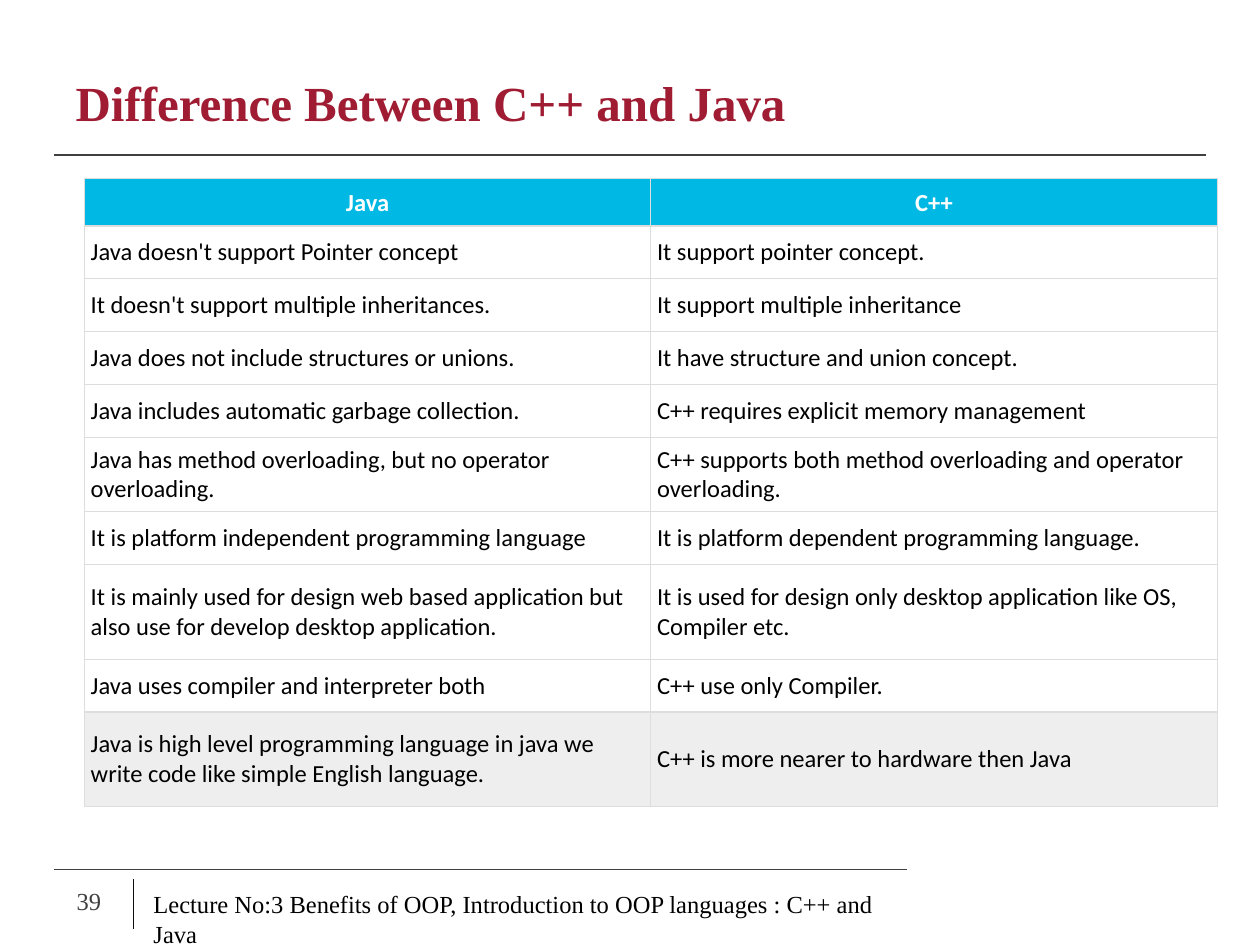
from lxml import etree
from pptx import Presentation
from pptx import util as u
from pptx.dml.color import RGBColor
from pptx.enum import shapes, text
from pptx.oxml.ns import qn

SERIF, SANS = "Times New Roman", "Calibri"
MID = text.MSO_ANCHOR.MIDDLE
LEFT, MIDDLE = text.PP_ALIGN.LEFT, text.PP_ALIGN.CENTER

HEADS = ("Java", "C++")
ROWS = [
    (0.42, "Java doesn't support Pointer concept", "It support pointer concept."),
    (0.42, "It doesn't support multiple inheritances.", "It support multiple inheritance"),
    (0.42, "Java does not include structures or unions.", "It have structure and union concept."),
    (0.42, "Java includes automatic garbage collection.", "C++ requires explicit memory management"),
    (0.59, "Java has method overloading, but no operator overloading.",
     "C++ supports both method overloading and operator overloading."),
    (0.42, "It is platform independent programming language",
     "It is platform dependent programming language."),
    (0.75, "It is mainly used for design web based application but also use for "
           "develop desktop application.",
     "It is used for design only desktop application like OS, Compiler etc."),
    (0.42, "Java uses compiler and interpreter both", "C++ use only Compiler."),
    (0.75, "Java is high level programming language in java we write code like "
           "simple English language.",
     "C++ is more nearer to hardware then Java"),
]


def color(code):
    return RGBColor.from_string(code)


def write(frame, words, size=14, font=SERIF, ink="000000", bold=False, align=LEFT,
          anchor=text.MSO_ANCHOR.TOP):
    frame.word_wrap = True
    frame.vertical_anchor = anchor
    par = frame.paragraphs[0]
    par.alignment = align
    run = par.add_run()
    run.text = words
    run.font.size, run.font.name, run.font.bold = u.Pt(size), font, bold
    run.font.color.rgb = color(ink)


def place(shape, left, top, width, height):
    shape.left, shape.top = u.Inches(left), u.Inches(top)
    shape.width, shape.height = u.Inches(width), u.Inches(height)


def border(cell, code="DDDDDD", width=0.75):
    props = cell._tc.get_or_add_tcPr()
    for spot, side in enumerate(("lnL", "lnR", "lnT", "lnB")):
        line = etree.Element(qn("a:" + side), w=str(u.Pt(width)))
        fill = etree.SubElement(line, qn("a:solidFill"))
        etree.SubElement(fill, qn("a:srgbClr"), val=code)
        props.insert(spot, line)


class Page:
    """Holds the slide being built and its shared style."""
    rule, head, plain, last = "404040", "00B8E4", "FFFFFF", "EEEEEE"

    def __init__(self, deck):
        self.slide = deck.slides.add_slide(deck.slide_layouts[5])

    def title(self, words, *box):
        shape = self.slide.shapes.title
        place(shape, *box)
        write(shape.text_frame, words, size=28, ink="9F1C33", bold=True, anchor=MID)

    def label(self, words, *box, **style):
        shape = self.slide.shapes.add_textbox(*map(u.Inches, box))
        write(shape.text_frame, words, **style)

    def line(self, x1, y1, x2, y2, ink=rule):
        ends = map(u.Inches, (x1, y1, x2, y2))
        line = self.slide.shapes.add_connector(shapes.MSO_CONNECTOR.STRAIGHT, *ends)
        line.line.color.rgb = color(ink)
        line.line.width = u.Pt(0.75)
        etree.SubElement(line._element.spPr, qn("a:effectLst"))

    def cell(self, cell, words, fill, pad=0.05, **style):
        cell.margin_left = cell.margin_right = u.Inches(0.05)
        cell.margin_top = cell.margin_bottom = u.Inches(pad)
        cell.vertical_anchor = MID
        cell.fill.solid()
        cell.fill.fore_color.rgb = color(fill)
        border(cell)
        write(cell.text_frame, words, font=SANS, anchor=None, **style)

    def table(self, left, top, width, high=0.37):
        tall = high + sum(row[0] for row in ROWS)
        box = map(u.Inches, (left, top, width, tall))
        table = self.slide.shapes.add_table(len(ROWS) + 1, len(HEADS), *box).table
        table.rows[0].height = u.Inches(high)
        for col, words in enumerate(HEADS):
            self.cell(table.cell(0, col), words, self.head, pad=0.07,
                      ink="FFFFFF", bold=True, align=MIDDLE)
        for num, (high, *pair) in enumerate(ROWS, 1):
            table.rows[num].height = u.Inches(high)
            fill = self.last if num == len(ROWS) else self.plain
            for col, words in enumerate(pair):
                self.cell(table.cell(num, col), words, fill)


def main():
    deck = Presentation()
    deck.slide_width, deck.slide_height = u.Inches(10), u.Inches(7.5)
    page = Page(deck)
    page.line(0.43, 1.23, 9.57, 1.23)
    page.line(0.43, 6.9, 7.2, 6.9)
    page.line(1.06, 6.98, 1.06, 7.37, ink="0D0D0D")
    page.title("Difference Between C++ and Java", 0.5, 0.36, 9, 0.9)
    page.label("39", 0.51, 6.95, 0.52, 0.4, ink=page.rule, anchor=MID)
    page.table(0.67, 1.42, 8.99)
    page.label("Lecture No:3 Benefits of OOP, Introduction to OOP languages : C++ and Java",
               1.12, 7.01, 6.3, 0.34)
    deck.save("out.pptx")


if __name__ == "__main__":
    main()
